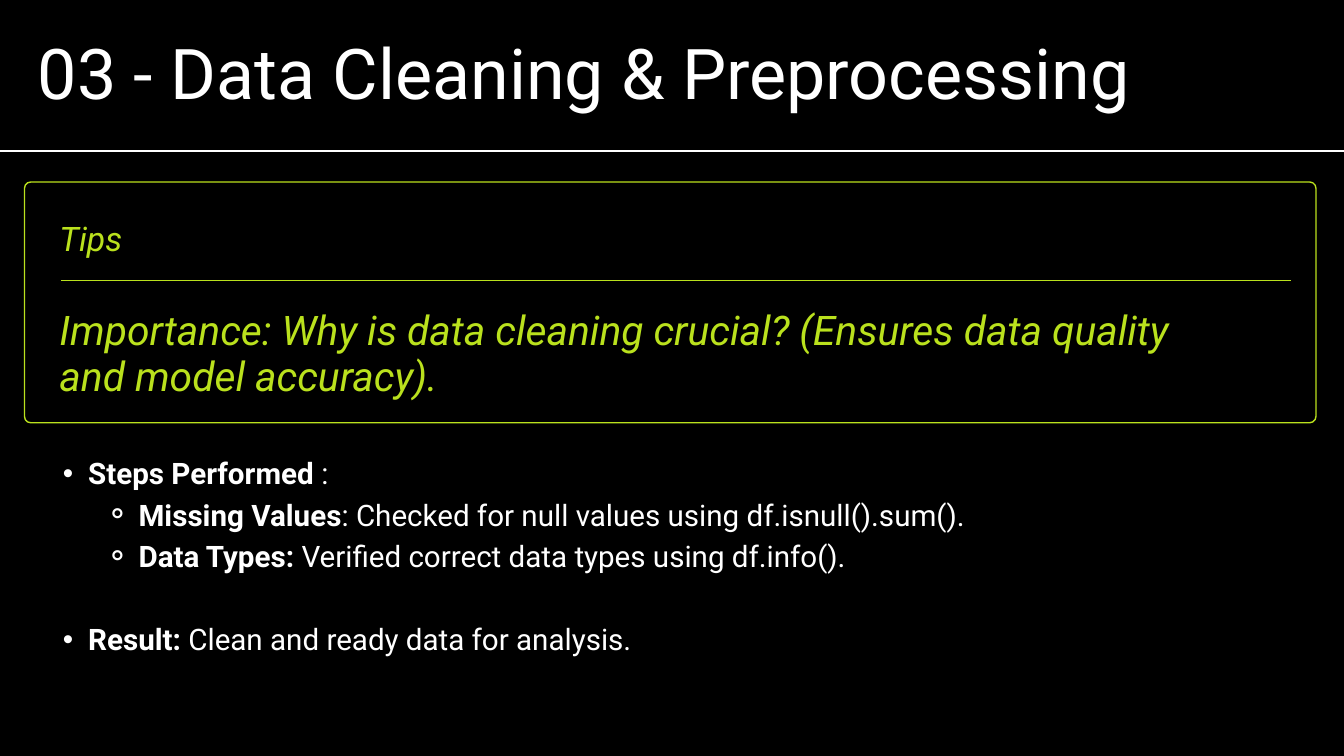
from dataclasses import dataclass

from lxml.etree import SubElement
from pptx import Presentation
from pptx.dml.color import RGBColor as Color
from pptx.enum.shapes import MSO_CONNECTOR as Connector, MSO_SHAPE as Shape
from pptx.enum.text import MSO_ANCHOR as Anchor, MSO_AUTO_SIZE as AutoSize, PP_ALIGN as Align
from pptx.oxml.ns import qn
from pptx.util import Emu, Pt

PX = 9525


@dataclass(frozen=True)
class Theme:
    font: str = "Roboto"
    background: Color = Color(0x00, 0x00, 0x00)
    text: Color = Color(0xFF, 0xFF, 0xFF)
    accent: Color = Color(0xBA, 0xE1, 0x1D)
    title: tuple = (75, 85.5)
    body: tuple = (31.7, 44.4)
    label: tuple = (36.2, 40.9)
    quote: tuple = (43.7, 49.4)
    line: float = 1.5


def px(*lengths):
    return [Emu(length * PX) for length in lengths]


def write_span(para, text, *, font, size, color, bold=False, italic=False):
    span = para.add_run()
    span.text = text
    span.font.name = font
    span.font.size = Pt(size)
    span.font.color.rgb = color
    span.font.bold = bold
    span.font.italic = italic


class SlideBuilder:
    def __init__(self, deck, theme):
        self.theme = theme
        self.page = deck.slides.add_slide(deck.slide_layouts[1])
        fill = self.page.background.fill
        fill.solid()
        fill.fore_color.rgb = theme.background

    def place(self, box, area):
        box.left, box.top, box.width, box.height = px(*area)
        frame = box.text_frame
        frame.margin_left = frame.margin_top = frame.margin_right = frame.margin_bottom = 0
        frame.word_wrap = True
        frame.auto_size = AutoSize.NONE
        frame.vertical_anchor = Anchor.TOP
        return frame

    def space(self, para, leading, before=0):
        para.alignment = Align.LEFT
        para.line_spacing = Pt(leading)
        para.space_before = Pt(before)
        para.space_after = Pt(0)

    def single(self, box, area, text, style, color, italic=False):
        size, leading = style
        para = self.place(box, area).paragraphs[0]
        self.space(para, leading)
        write_span(para, text, font=self.theme.font, size=size, color=color, italic=italic)

    def title(self, area, text):
        self.single(self.page.shapes.title, area, text, self.theme.title, self.theme.text)

    def tip(self, area, text, style):
        box = self.page.shapes.add_textbox(*px(*area))
        self.single(box, area, text, style, self.theme.accent, italic=True)

    def bullets(self, area, items):
        frame = self.place(self.page.placeholders[1], area)
        size, leading = self.theme.body
        marks = {1: ("•", 72, -36), 2: ("⚬", 144, -48)}
        for index, (level, lead, rest, gap) in enumerate(items):
            para = frame.add_paragraph() if index else frame.paragraphs[0]
            para.level = level
            self.space(para, leading, leading * gap)
            mark, margin, indent = marks[level]
            settings = para._p.get_or_add_pPr()
            settings.set("marL", str(margin * PX))
            settings.set("indent", str(indent * PX))
            SubElement(settings, qn("a:buFont")).set("typeface", "Arial")
            SubElement(settings, qn("a:buChar")).set("char", mark)
            for text, bold in ((lead, True), (rest, False)):
                write_span(para, text, font=self.theme.font, size=size,
                           color=self.theme.text, bold=bold)

    def rule(self, left, right, y, color):
        line = self.page.shapes.add_connector(Connector.STRAIGHT, *px(left, y, right, y))
        line.line.color.rgb = color
        line.line.width = Pt(self.theme.line)
        SubElement(line._element.spPr, qn("a:effectLst"))

    def panel(self, area, radius):
        box = self.page.shapes.add_shape(Shape.ROUNDED_RECTANGLE, *px(*area))
        box.adjustments[0] = radius / min(area[2:])
        box.shadow.inherit = False
        box.fill.background()
        box.line.color.rgb = self.theme.accent
        box.line.width = Pt(self.theme.line)


def main():
    deck = Presentation()
    deck.slide_width, deck.slide_height = px(1920, 1080)
    theme = Theme()
    slide = SlideBuilder(deck, theme)

    slide.title((54, 48, 1842, 115), "03 - Data Cleaning & Preprocessing")
    slide.bullets((54, 642, 1442, 372), [
        (1, "Steps Performed ", ":", 0),
        (2, "Missing Values", ": Checked for null values using df.isnull().sum().", 0),
        (2, "Data Types:", " Verified correct data types using df.info().", 0),
        (1, "Result: ", "Clean and ready data for analysis.", 1),
    ])
    slide.rule(0, 1920, 216, theme.text)

    slide.panel((35, 260, 1845, 344), 9)
    slide.rule(87, 1844, 401, theme.accent)
    slide.tip((85, 315, 379, 60), "Tips", theme.label)
    slide.tip(
        (85, 439, 1688, 147),
        "Importance: Why is data cleaning crucial? (Ensures data quality and model accuracy).",
        theme.quote,
    )
    deck.save("out.pptx")


if __name__ == "__main__":
    main()
